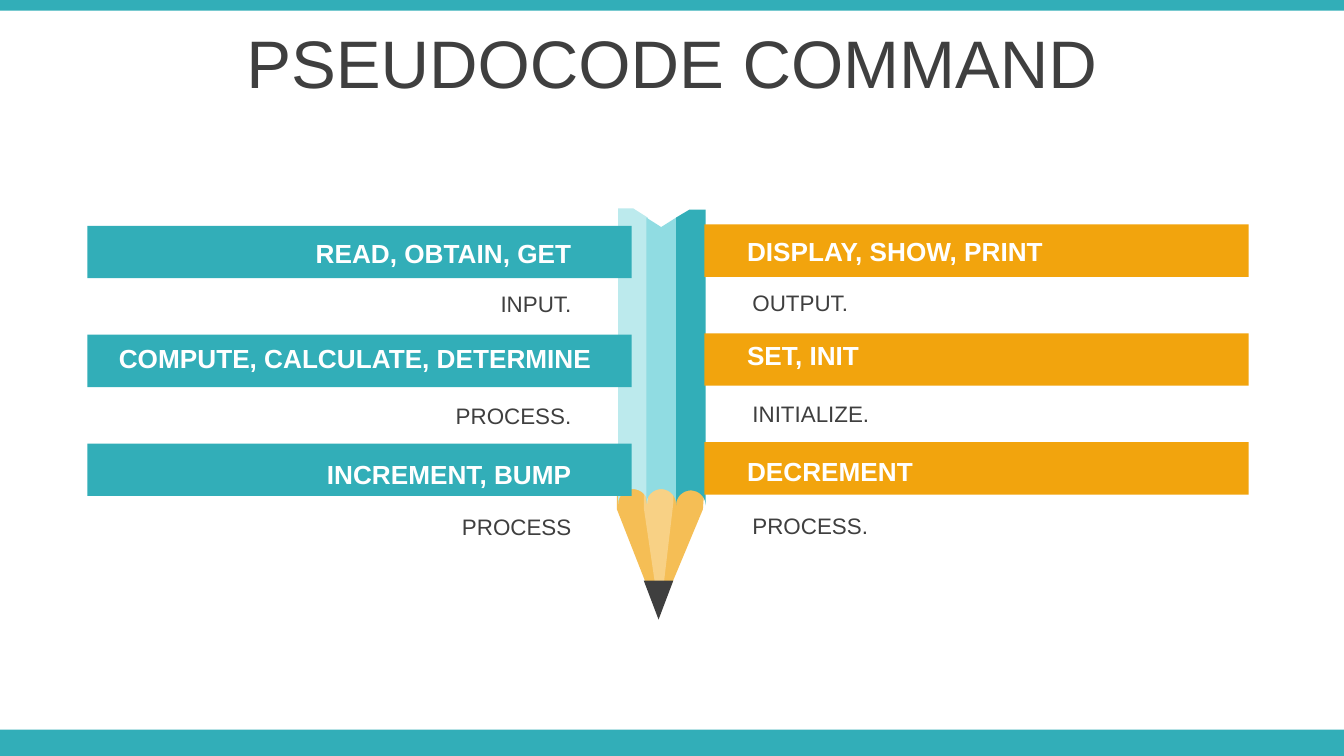
import math
import pptx
import pptx.dml.color
import pptx.enum.shapes
import pptx.enum.text
import pptx.util

Inches = pptx.util.Inches
ALIGN = pptx.enum.text.PP_ALIGN
KIND = pptx.enum.shapes.MSO_SHAPE
TEAL, GOLD, DARK, WHITE = "32AEB8", "F2A40D", "3F3F3F", "FFFFFF"


def paint(shape, color):
    """Give the shape a flat fill with no line or shadow."""
    shape.shadow.inherit = False
    shape.fill.solid()
    shape.fill.fore_color.rgb = pptx.dml.color.RGBColor.from_string(color)
    shape.line.fill.background()


def write(shape, text, size, color, align, bold=False):
    frame = shape.text_frame
    frame.word_wrap = True
    frame.text = text
    line = frame.paragraphs[0]
    line.alignment = align
    font = line.runs[0].font
    style = {"name": "Arial", "size": pptx.util.Pt(size), "bold": bold}
    for key, value in style.items():
        setattr(font, key, value)
    font.color.rgb = pptx.dml.color.RGBColor.from_string(color)


deck = pptx.Presentation()
deck.slide_width = Inches(10)
deck.slide_height = deck.slide_width * 9 // 16
slide = deck.slides.add_slide(deck.slide_layouts[5])
shapes = slide.shapes

# Title
title = shapes.title
place = {"left": 0, "top": 0.14, "width": 10, "height": 0.63}
for key, value in place.items():
    setattr(title, key, Inches(value))
write(title, "PSEUDOCODE COMMAND", 36, DARK, ALIGN.CENTER)
title.text_frame.vertical_anchor = pptx.enum.text.MSO_ANCHOR.MIDDLE
title.text_frame.auto_size = pptx.enum.text.MSO_AUTO_SIZE.NONE

# Bands at the top and bottom edges
for top, height in ((5.43, 0.2), (0, 0.08)):
    band = shapes.add_shape(KIND.RECTANGLE, 0, Inches(top), Inches(10), Inches(height))
    paint(band, TEAL)

# Pencil: wood first, then three stripes with scalloped lower ends
parts = [
    ("F5BE55", [(4.59, 3.64), (5.24, 3.64), (5.23, 3.79), (4.9, 4.58), (4.59, 3.79)]),
    ("F8D185", [(4.79, 3.63), (5.01, 3.63), (5.01, 3.74), (4.91, 4.59), (4.79, 3.78)]),
]
stripes = [
    ("BCEAED", 4.6, 3.75, [(0, 1.55), (0.11, 1.55), (0.22, 1.62)]),
    ("90DCE2", 4.81, 3.75, [(0, 1.62), (0.11, 1.69), (0.22, 1.62)]),
    (TEAL, 5.03, 3.76, [(0, 1.62), (0.1, 1.56), (0.22, 1.56)]),
]
for color, left, base, crown in stripes:
    points = [(left + x, y) for x, y in crown]
    for step in range(25):
        turn = math.pi * step / 24
        points.append((left + 0.11 + 0.11 * math.cos(turn), base - 0.11 * math.sin(turn)))
    parts.append((color, points))

pencil = shapes.add_group_shape()
for color, points in parts:
    dots = [(Inches(x), Inches(y)) for x, y in points]
    pen = pencil.shapes.build_freeform(*dots[0])
    pen.add_line_segments(dots[1:], close=True)
    paint(pen.convert_to_shape(), color)
lead = pencil.shapes.add_shape(
    KIND.ISOSCELES_TRIANGLE, Inches(4.79), Inches(4.32), Inches(0.22), Inches(0.29))
lead.rotation = 180
paint(lead, DARK)

# Commands on both sides: the left column sits slightly lower
sides = [
    (GOLD, 5.24, 0, ALIGN.LEFT, 5.5, [
        ("DISPLAY, SHOW, PRINT", 5.46, 2.59, "OUTPUT."),
        ("SET, INIT", 5.46, 2.59, "INITIALIZE."),
        ("DECREMENT", 5.46, 2.59, "PROCESS."),
    ]),
    (TEAL, 0.65, 0.01, ALIGN.RIGHT, 0.77, [
        ("READ, OBTAIN, GET", 1.76, 2.59, "INPUT."),
        ("COMPUTE, CALCULATE, DETERMINE", 0.77, 3.73, "PROCESS."),
        ("INCREMENT, BUMP", 1.76, 2.59, "PROCESS"),
    ]),
]
heads = (1.7, 2.48, 3.34)
for color, edge, drop, align, inset, rows in sides:
    for i, (head, left, width, note) in enumerate(rows):
        bar = shapes.add_shape(
            KIND.RECTANGLE, Inches(edge), Inches(1.67 + drop + 0.81 * i),
            Inches(4.05), Inches(0.39))
        paint(bar, color)
        labels = [
            (head, left, heads[i] + 2 * drop, width, 0.34, 14, WHITE, True),
            (note, inset, 2.1 + drop + 0.83 * i, 3.58, 0.3, 12, DARK, False),
        ]
        for text, x, y, wide, high, size, ink, bold in labels:
            box = shapes.add_textbox(Inches(x), Inches(y), Inches(wide), Inches(high))
            write(box, text, size, ink, align, bold)
            box.text_frame.auto_size = pptx.enum.text.MSO_AUTO_SIZE.SHAPE_TO_FIT_TEXT

deck.save("out.pptx")
